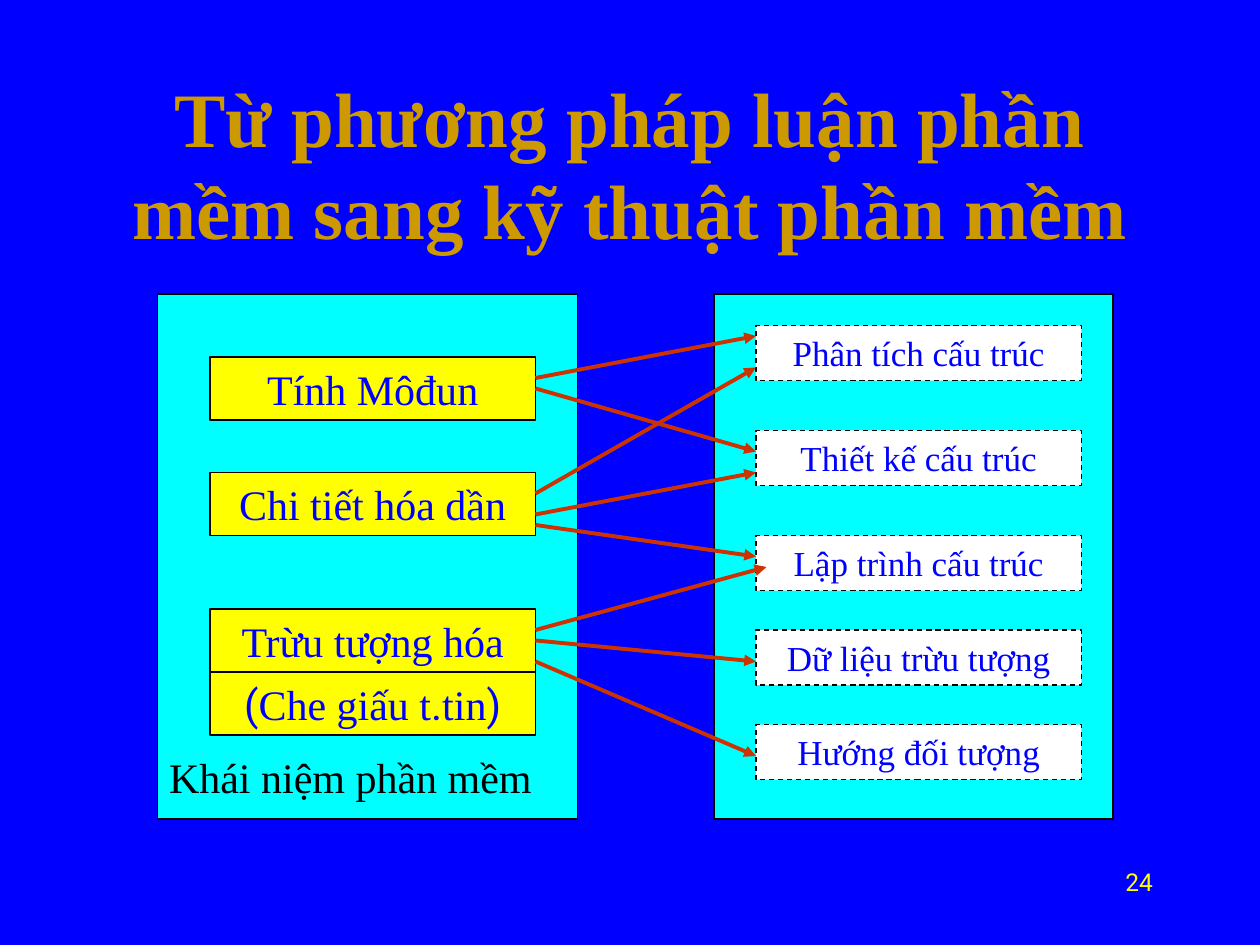
from lxml.etree import SubElement
from pptx import Presentation
from pptx.dml.color import RGBColor
from pptx.enum.dml import MSO_LINE
from pptx.enum.shapes import MSO_CONNECTOR, MSO_SHAPE
from pptx.enum.text import MSO_ANCHOR, MSO_AUTO_SIZE, PP_ALIGN
from pptx.oxml.ns import qn
from pptx.util import Pt

COLORS = {
    "background": "0000FF",
    "title": "CC9900",
    "panel": "00FFFF",
    "concept": "FFFF00",
    "technique": "FFFFFF",
    "label": "0000FF",
    "outline": "000000",
    "arrow": "CC3300",
    "number": "FFFF00",
}
SERIF, SANS = "Times New Roman", "Roboto"

PANEL_TOP, PANEL_HEIGHT = 168, 300
CONCEPT_LEFT, TECHNIQUE_LEFT, BOX_WIDTH = 120, 432, 186
CONCEPT_RIGHT = CONCEPT_LEFT + BOX_WIDTH

CONCEPTS = [
    (204, [("Tính Môđun", SERIF)]),
    (270, [("Chi tiết hóa dần", SERIF)]),
    (348, [("Trừu tượng hóa", SERIF)]),
    (384, [("(", SANS), ("Che giấu t", SERIF), (".", SANS), ("tin", SERIF), (")", SANS)]),
]
TECHNIQUES = [
    (186, "Phân tích cấu trúc"),
    (246, "Thiết kế cấu trúc"),
    (306, "Lập trình cấu trúc"),
    (360, "Dữ liệu trừu tượng"),
    (414, "Hướng đối tượng"),
]
# Start height, end height, how far the head reaches into the technique box
ARROWS = [
    (216, 192, 0),
    (282, 210, 0),
    (222, 258, 0),
    (294, 270, 0),
    (300, 318, 0),
    (360, 324, 6),
    (366, 378, 0),
    (378, 432, 0),
]


def color(name):
    return RGBColor.from_string(COLORS[name])


class SlideBuilder:
    """Holds the current slide and the style shared by its elements."""

    def __init__(self, slide):
        self.slide = slide
        fill = slide.background.fill
        fill.solid()
        fill.fore_color.rgb = color("background")

    def set_runs(self, shape, runs, size, color_name, align, bold=False):
        """Fill the shape with one paragraph made of (text, font) runs."""
        frame = shape.text_frame
        frame.auto_size = MSO_AUTO_SIZE.NONE
        paragraph = frame.paragraphs[0]
        paragraph.alignment = align
        for text, font_name in runs:
            run = paragraph.add_run()
            run.text = text
            run.font.name = font_name
            run.font.size = Pt(size)
            run.font.bold = bold
            run.font.color.rgb = color(color_name)

    def title(self, text, left, top, width, height):
        shape = self.slide.shapes.title
        shape.left, shape.top = Pt(left), Pt(top)
        shape.width, shape.height = Pt(width), Pt(height)
        shape.text_frame.vertical_anchor = MSO_ANCHOR.MIDDLE
        self.set_runs(shape, [(text, SERIF)], 44, "title", PP_ALIGN.CENTER, bold=True)

    def rectangle(self, left, top, width, height, fill_name):
        shape = self.slide.shapes.add_shape(
            MSO_SHAPE.RECTANGLE, Pt(left), Pt(top), Pt(width), Pt(height))
        shape.shadow.inherit = False
        shape.fill.solid()
        shape.fill.fore_color.rgb = color(fill_name)
        shape.line.color.rgb = color("outline")
        shape.line.width = Pt(0.75)
        return shape

    def box(self, left, top, height, fill_name, runs, size):
        shape = self.rectangle(left, top, BOX_WIDTH, height, fill_name)
        shape.text_frame.vertical_anchor = MSO_ANCHOR.TOP
        self.set_runs(shape, runs, size, "label", PP_ALIGN.CENTER)
        return shape

    def arrow(self, start_x, start_y, end_x, end_y):
        connector = self.slide.shapes.add_connector(
            MSO_CONNECTOR.STRAIGHT, Pt(start_x), Pt(start_y), Pt(end_x), Pt(end_y))
        connector.line.color.rgb = color("arrow")
        connector.line.width = Pt(2.25)
        properties = connector.element.spPr
        SubElement(properties.find(qn("a:ln")), qn("a:tailEnd"), type="triangle")
        SubElement(properties, qn("a:effectLst"))

    def text(self, text, left, top, width, height, font_name, size, color_name,
             align=PP_ALIGN.LEFT, wrap=True):
        shape = self.slide.shapes.add_textbox(Pt(left), Pt(top), Pt(width), Pt(height))
        shape.text_frame.word_wrap = wrap
        self.set_runs(shape, [(text, font_name)], size, color_name, align)


def main():
    presentation = Presentation()
    presentation.slide_width, presentation.slide_height = Pt(720), Pt(540)
    title_only = presentation.slide_layouts[5]
    builder = SlideBuilder(presentation.slides.add_slide(title_only))

    builder.title("Từ phương pháp luận phần mềm sang kỹ thuật phần mềm", 54, 48, 612, 90)
    for left, width in [(90, 240), (408, 228)]:
        builder.rectangle(left, PANEL_TOP, width, PANEL_HEIGHT, "panel")
    for top, runs in CONCEPTS:
        builder.box(CONCEPT_LEFT, top, 36, "concept", runs, 24)
    for top, text in TECHNIQUES:
        technique = builder.box(TECHNIQUE_LEFT, top, 31.5, "technique", [(text, SERIF)], 20)
        technique.line.dash_style = MSO_LINE.DASH
    for start_y, end_y, reach in ARROWS:
        builder.arrow(CONCEPT_RIGHT, start_y, TECHNIQUE_LEFT + reach, end_y)
    builder.text("Khái niệm phần mềm", 89.5, 426, 222.5, 36, SERIF, 24, "outline", wrap=False)
    builder.text("24", 516, 492, 150, 36, SANS, 14, "number", align=PP_ALIGN.RIGHT)

    presentation.save("out.pptx")


if __name__ == "__main__":
    main()
